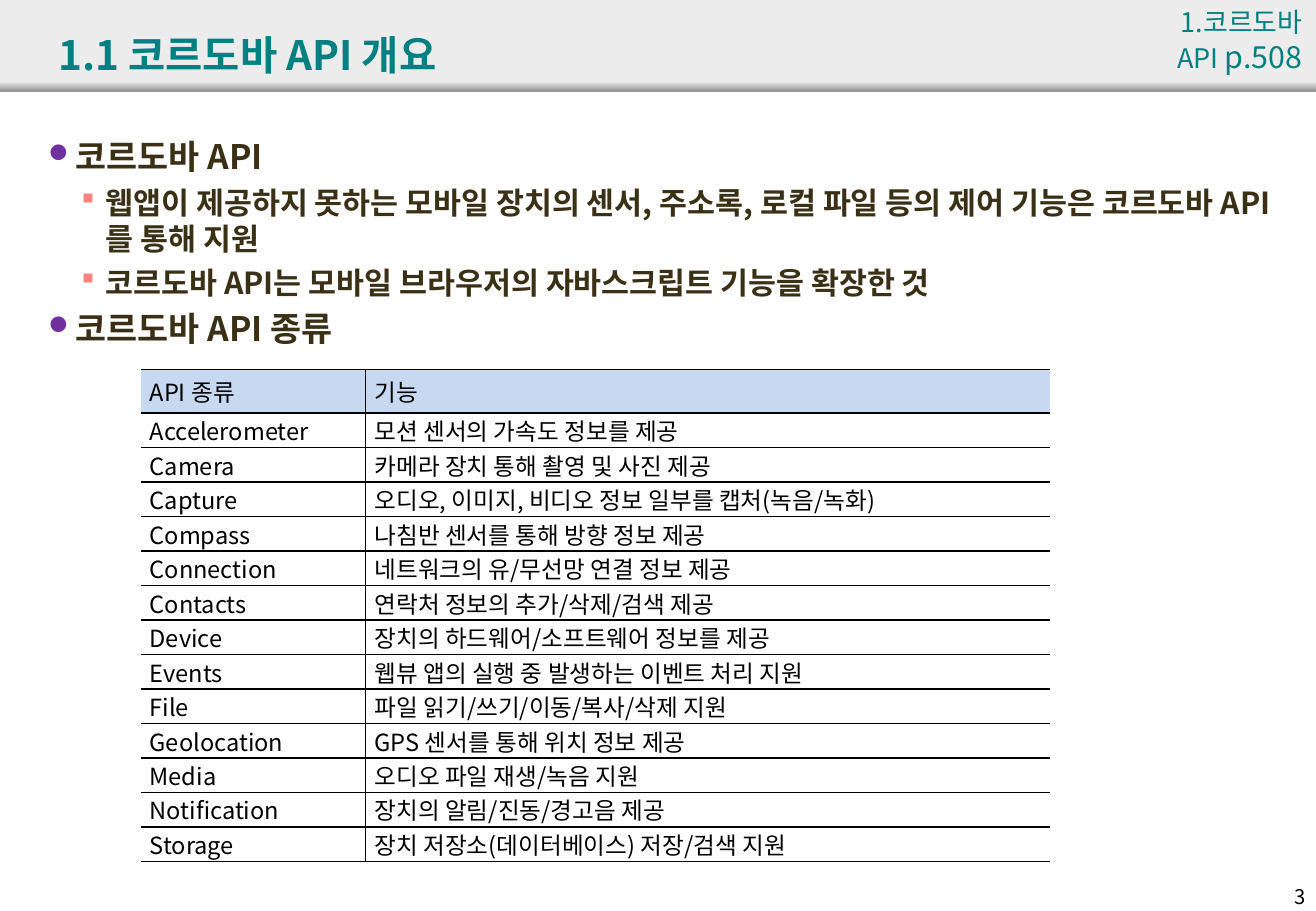
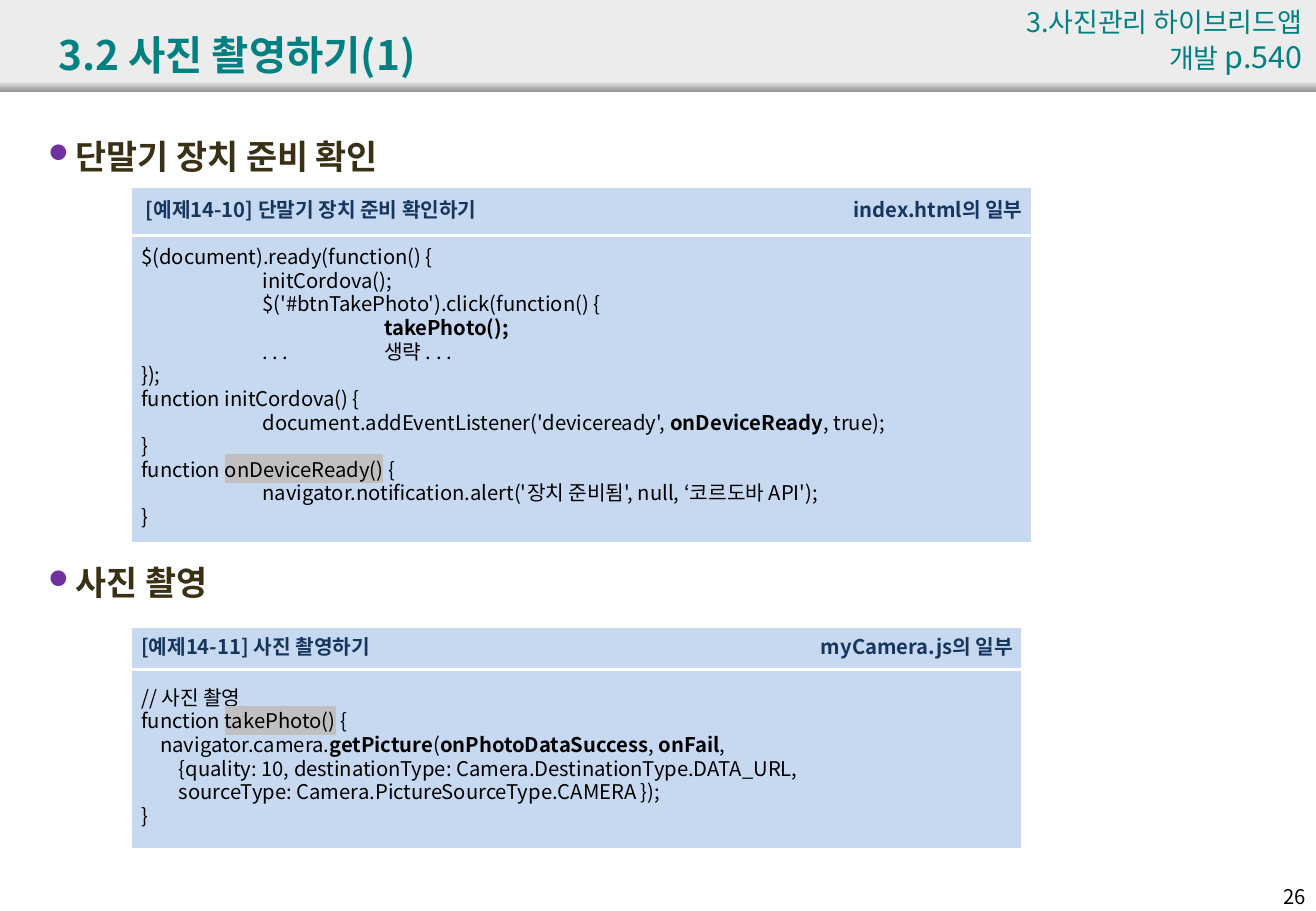
from lxml import etree
from pptx import Presentation
from pptx.dml.color import RGBColor
from pptx.enum import shapes, text
from pptx.oxml.ns import qn
from pptx.util import Pt

# Shared style
FONT = "Noto Sans CJK KR"
TEAL = RGBColor(0x00, 0x80, 0x80)
BROWN = RGBColor(0x3A, 0x30, 0x16)
NAVY = RGBColor(0x17, 0x36, 0x5D)
BLACK = RGBColor(0x00, 0x00, 0x00)
WHITE = RGBColor(0xFF, 0xFF, 0xFF)
PALE_BLUE = RGBColor(0xC6, 0xD9, 0xF1)
BAND = RGBColor(0xEC, 0xEC, 0xEC)
BAND_EDGE = RGBColor(0x97, 0x97, 0x97)
PURPLE = RGBColor(0x70, 0x30, 0xA0)
PINK = RGBColor(0xFF, 0x80, 0x80)
GREY = RGBColor(0xC0, 0xC0, 0xC0)
WIDTH, HEIGHT = 780, 540
NO_STYLE = "{2D5ABB26-0587-4C30-8999-92F81FD0307C}"
BOLD, MARKED = "bold", "marked"
LEFT, RIGHT, JUSTIFY = text.PP_ALIGN.LEFT, text.PP_ALIGN.RIGHT, text.PP_ALIGN.JUSTIFY
MIDDLE = text.MSO_ANCHOR.MIDDLE

# Bullet levels: left margin, text size, colour, size in percent, Wingdings character
LEVELS = [
    (14.4, 20, PURPLE, 80, "l"),
    (33.84, 18, PINK, 100, "§"),
]

# Content
API_ROWS = [
    ("API 종류", "기능"),
    ("Accelerometer", "모션 센서의 가속도 정보를 제공"),
    ("Camera", "카메라 장치 통해 촬영 및 사진 제공"),
    ("Capture", "오디오, 이미지, 비디오 정보 일부를 캡처(녹음/녹화)"),
    ("Compass", "나침반 센서를 통해 방향 정보 제공"),
    ("Connection", "네트워크의 유/무선망 연결 정보 제공"),
    ("Contacts", "연락처 정보의 추가/삭제/검색 제공"),
    ("Device", "장치의 하드웨어/소프트웨어 정보를 제공"),
    ("Events", "웹뷰 앱의 실행 중 발생하는 이벤트 처리 지원"),
    ("File", "파일 읽기/쓰기/이동/복사/삭제 지원"),
    ("Geolocation", "GPS 센서를 통해 위치 정보 제공"),
    ("Media", "오디오 파일 재생/녹음 지원"),
    ("Notification", "장치의 알림/진동/경고음 제공"),
    ("Storage", "장치 저장소(데이터베이스) 저장/검색 지원"),
]

API_OUTLINE = [
    (0, "코르도바 API"),
    (1, "웹앱이 제공하지 못하는 모바일 장치의 센서, 주소록, 로컬 파일 등의 제어 기능은 코르도바 API를 통해 지원"),
    (1, "코르도바 API는 모바일 브라우저의 자바스크립트 기능을 확장한 것"),
    (0, "코르도바 API 종류"),
]

# Code lines: indent, then runs
READY_CODE = [
    (0, "$(document).ready(function() {"),
    (0, "\tinitCordova();"),
    (0, "\t$('#btnTakePhoto').click(function() {"),
    (0, "\t\t", ("takePhoto();", BOLD)),
    (0, "\t. . .\t생략 . . ."),
    (0, "});"),
    (0, "function initCordova() {"),
    (0, "\tdocument.addEventListener('deviceready', ", ("onDeviceReady", BOLD), ", true);"),
    (0, "}"),
    (0, "function ", ("onDeviceReady()", MARKED), " {"),
    (0, "\tnavigator.notification.alert('장치 준비됨', null, ‘코르도바 API');"),
    (0, "}"),
]
PHOTO_CODE = [
    (0, "// 사진 촬영"),
    (0, "function ", ("takePhoto()", MARKED), " {"),
    (11.3, "navigator.camera.", ("getPicture", BOLD), "(",
     ("onPhotoDataSuccess", BOLD), ", ", ("onFail", BOLD), ","),
    (22.3, "{quality: 10, destinationType: Camera.DestinationType.DATA_URL,"),
    (22.3, "sourceType: Camera.PictureSourceType.CAMERA });"),
    (0, "}"),
]

# Listings: heading, file, code, top, width, row heights
LISTINGS = [
    (" [예제14-10] 단말기 장치 준비 확인하기", "index.html의 일부",
     READY_CODE, 111.6, 532.8, (28.1, 181.4)),
    ("[예제14-11] 사진 촬영하기", "myCamera.js의 일부",
     PHOTO_CODE, 372.2, 527, (24.5, 105.8)),
]


def add_child(parent, tag, **attributes):
    return etree.SubElement(parent, qn(tag), attributes)


def style(paragraph, size, colour, bold=False, align=LEFT):
    paragraph.alignment = align
    font = paragraph.font
    font.name, font.size, font.bold = FONT, Pt(size), bold
    font.color.rgb = colour
    add_child(font._rPr, "a:ea", typeface=FONT)


def add_runs(paragraph, runs):
    for item in runs:
        content, look = (item, None) if isinstance(item, str) else item
        run = paragraph.add_run()
        run.text = content
        if look == BOLD:
            run.font.bold = True
        elif look == MARKED:
            highlight = add_child(run.font._rPr, "a:highlight")
            add_child(highlight, "a:srgbClr", val=str(GREY))


def add_box(slide, left, top, width, height):
    box = slide.shapes.add_textbox(Pt(left), Pt(top), Pt(width), Pt(height))
    box.text_frame.word_wrap = True
    return box.text_frame


def add_line(slide, place, content, size, colour, bold=False, align=LEFT):
    frame = add_box(slide, *place)
    paragraph = frame.paragraphs[0]
    paragraph.text = content
    style(paragraph, size, colour, bold, align)
    return frame


def add_frame(presentation, title, chapter, page, chapter_width, number):
    """Adds a slide with its band, title, chapter mark and number."""
    slide = presentation.slides.add_slide(presentation.slide_layouts[6])
    for top, height in ((0, 54), (48.2, 5.8)):
        band = slide.shapes.add_shape(
            shapes.MSO_SHAPE.RECTANGLE, 0, Pt(top), Pt(WIDTH), Pt(height))
        band.shadow.inherit = False
        band.line.fill.background()
        if top:
            band.fill.gradient()
            band.fill.gradient_angle = 270
            for stop, colour in zip(band.fill.gradient_stops, (BAND, BAND_EDGE)):
                stop.color.rgb = colour
        else:
            band.fill.solid()
            band.fill.fore_color.rgb = BAND
    title_frame = add_line(slide, (27.4, 9.4, 714, 45), title, 24, TEAL, True)
    title_frame.vertical_anchor = MIDDLE
    add_line(slide, (741.6, 520.5, 39.6, 21.6), number, 12, BLACK, align=RIGHT)

    mark = add_box(slide, 779 - chapter_width, 0, chapter_width, 29).paragraphs[0]
    add_runs(mark, (chapter + " ", page))
    style(mark, 16, TEAL, align=RIGHT)
    mark.runs[1].font.size = Pt(18)
    return slide


def add_outline(slide, top, height, items):
    frame = add_box(slide, 21.6, top, 743, height)
    for index, (level, content) in enumerate(items):
        paragraph = frame.add_paragraph() if index else frame.paragraphs[0]
        paragraph.text = content
        margin, size, colour, percent, character = LEVELS[level]
        paragraph.level = level
        properties = paragraph._p.get_or_add_pPr()
        properties.set("marL", str(Pt(margin)))
        properties.set("indent", str(-Pt(14.4)))
        add_child(add_child(properties, "a:buClr"), "a:srgbClr", val=str(colour))
        add_child(properties, "a:buSzPct", val=str(percent * 1000))
        add_child(properties, "a:buFont", typeface="Wingdings")
        add_child(properties, "a:buChar", char=character)
        paragraph.space_before = Pt(4.4)
        style(paragraph, size, BROWN, True)


def add_grid(slide, left, top, columns, rows):
    frame = slide.shapes.add_table(
        len(rows), len(columns), Pt(left), Pt(top), Pt(sum(columns)), Pt(sum(rows)))
    table = frame.table
    table.first_row = table.horz_banding = False
    next(frame.element.iter(qn("a:tableStyleId"))).text = NO_STYLE
    for column, width in zip(table.columns, columns):
        column.width = Pt(width)
    for row, height in zip(table.rows, rows):
        row.height = Pt(height)
    return table


def format_cell(cell, sides, colour, width, fill=None, padding=0):
    """Sides are given in the order L, R, T, B."""
    cell.margin_left = cell.margin_right = Pt(5.2)
    cell.margin_top = cell.margin_bottom = Pt(padding)
    cell.vertical_anchor = MIDDLE
    if fill is None:
        cell.fill.background()
    else:
        cell.fill.solid()
        cell.fill.fore_color.rgb = fill
    properties = cell._tc.get_or_add_tcPr()
    for position, side in enumerate(sides):
        line = etree.Element(qn("a:ln" + side), w=str(Pt(width)))
        add_child(add_child(line, "a:solidFill"), "a:srgbClr", val=str(colour))
        properties.insert(position, line)


def add_api_table(slide):
    heights = [26] + [20.44] * (len(API_ROWS) - 1)
    table = add_grid(slide, 83.5, 218.9, (133.3, 405.4), heights)
    for row, values in enumerate(API_ROWS):
        for column, value in enumerate(values):
            cell = table.cell(row, column)
            cell.text = value
            style(cell.text_frame.paragraphs[0], 14, BLACK, align=JUSTIFY)
            format_cell(cell, "LTB" if column else "RTB", BLACK, 1,
                        None if row else PALE_BLUE)


def add_listing(slide, heading, file_name, code, top, width, heights):
    table = add_grid(slide, 78.5, top, (width / 2, width / 2), heights)
    for column, (value, align) in enumerate(((heading, JUSTIFY), (file_name, RIGHT))):
        cell = table.cell(0, column)
        cell.text = value
        paragraph = cell.text_frame.paragraphs[0]
        paragraph.line_spacing = Pt(14)
        style(paragraph, 12, NAVY, True, align)
        format_cell(cell, "B", WHITE, 2.25, PALE_BLUE)
        format_cell(table.cell(1, column), "T", WHITE, 2.25, PALE_BLUE, 5.76)

    body = table.cell(1, 0)
    body.merge(table.cell(1, 1))
    for index, (indent, *runs) in enumerate(code):
        frame = body.text_frame
        paragraph = frame.add_paragraph() if index else frame.paragraphs[0]
        add_runs(paragraph, runs)
        properties = paragraph._p.get_or_add_pPr()
        properties.set("marL", str(Pt(indent)))
        tabs = add_child(properties, "a:tabLst")
        for stop in (72, 144):
            add_child(tabs, "a:tab", pos=str(Pt(stop)), algn="l")
        paragraph.line_spacing = Pt(14)
        style(paragraph, 12, BLACK, align=JUSTIFY)


def main():
    presentation = Presentation()
    presentation.slide_width, presentation.slide_height = Pt(WIDTH), Pt(HEIGHT)

    # API overview
    slide = add_frame(presentation, "1.1 코르도바 API 개요", "1.코르도바 API", "p.508", 111.6, "3")
    add_outline(slide, 77, 135, API_OUTLINE)
    add_api_table(slide)

    # Taking a photo
    slide = add_frame(presentation, "3.2 사진 촬영하기(1)", "3.사진관리 하이브리드앱 개발",
                      "p.540", 190.8, "26")
    for top, heading in ((77, "단말기 장치 준비 확인"), (329.4, "사진 촬영")):
        add_outline(slide, top, 34, [(0, heading)])
    for listing in LISTINGS:
        add_listing(slide, *listing)

    presentation.save("out.pptx")


if __name__ == "__main__":
    main()
